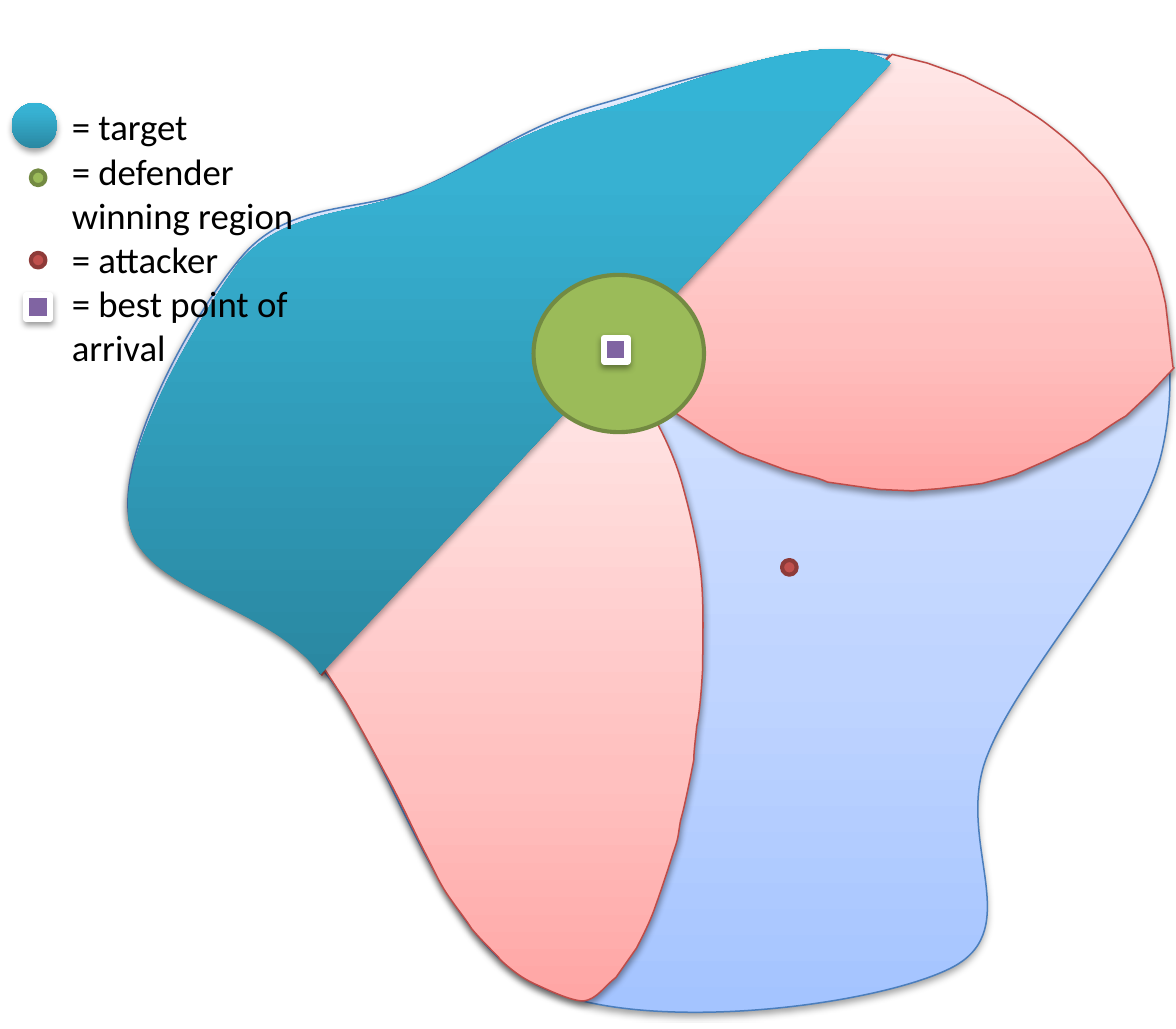
from lxml.etree import SubElement
from pptx import Presentation
from pptx.dml.color import RGBColor
from pptx.enum.shapes import MSO_CONNECTOR as CONNECTOR, MSO_SHAPE as SHAPE
from pptx.enum.text import MSO_AUTO_SIZE as AUTO_SIZE
from pptx.oxml.ns import qn
from pptx.util import Inches, Pt

BLUE_STOPS = [(0, "A4C4FF"), (35, "BFD4FF"), (100, "E6EEFF")]
PINK_STOPS = [(0, "FFA6A5"), (35, "FFC0BF"), (100, "FFE7E7")]
TEAL_STOPS = [(0, "2A88A2"), (80, "37B1D2"), (100, "34B4D6")]

# Boxes are left, top, width, height in inches.
WHOLE_BOX = (0.87, 0.35, 7.09, 6.54)
RIGHT_BOX = (4.18, 0.37, 3.81, 2.96)
LOWER_BOX = (2.2, 2.44, 2.58, 4.37)
TARGET_BOX = (0.87, 0.33, 5.19, 4.26)

# Outlines in inches: a pair is a corner, six numbers are a cubic curve.
WHOLE_REGION = [
    (4.08, 0.71), (4.61, 0.56, 5.47, 0.27, 6.06, 0.38),
    (6.64, 0.48, 7.29, 0.9, 7.6, 1.36), (7.9, 1.81, 8.05, 2.46, 7.9, 3.09),
    (7.75, 3.72, 6.95, 4.55, 6.72, 5.13), (6.48, 5.71, 6.99, 6.31, 6.48, 6.58),
    (5.98, 6.84, 4.38, 7.05, 3.67, 6.71), (2.95, 6.37, 2.65, 5.07, 2.18, 4.54),
    (1.72, 4.01, 0.97, 4.01, 0.88, 3.54), (0.79, 3.07, 1.32, 2.12, 1.65, 1.74),
    (1.98, 1.36, 2.45, 1.45, 2.86, 1.28), (3.26, 1.11, 3.55, 0.86, 4.08, 0.71),
]
RIGHT_REGION = [
    (7.99, 2.5), (7.83, 2.67), (7.66, 2.83), (7.57, 2.88, 7.48, 2.95, 7.4, 3),
    (7.31, 3.04, 7.23, 3.08, 7.15, 3.12), (6.9, 3.23), (6.68, 3.29), (6.43, 3.32),
    (6.35, 3.33, 6.29, 3.33, 6.21, 3.34), (5.98, 3.33), (5.63, 3.28),
    (5.52, 3.23, 5.42, 3.23, 5.3, 3.18), (5.03, 3.08), (4.84, 2.97), (4.61, 2.82),
    (4.37, 2.62), (4.18, 2.45), (4.46, 2.08, 5.71, 0.71, 6.07, 0.37), (6.31, 0.43),
    (6.56, 0.52), (6.86, 0.67), (6.95, 0.73, 7.04, 0.78, 7.13, 0.85),
    (7.22, 0.92, 7.33, 1.01, 7.4, 1.09), (7.47, 1.16, 7.49, 1.17, 7.56, 1.27),
    (7.64, 1.4, 7.74, 1.55, 7.81, 1.68), (7.87, 1.81, 7.9, 1.93, 7.93, 2.07), (7.98, 2.5),
]
LOWER_REGION = [
    (4.15, 2.44), (4.32, 2.63), (4.36, 2.7, 4.4, 2.73, 4.45, 2.84),
    (4.51, 2.95, 4.59, 3.11, 4.64, 3.29), (4.69, 3.47, 4.75, 3.71, 4.77, 3.92),
    (4.79, 4.13, 4.78, 4.38, 4.78, 4.55), (4.77, 4.72, 4.76, 4.84, 4.74, 4.94),
    (4.73, 5.04, 4.72, 5.11, 4.72, 5.17), (4.71, 5.22, 4.66, 5.48, 4.63, 5.58),
    (4.61, 5.69, 4.62, 5.69, 4.58, 5.8), (4.55, 5.9, 4.49, 6.08, 4.45, 6.19),
    (4.41, 6.3, 4.35, 6.41, 4.33, 6.45), (4.19, 6.65),
    (4.12, 6.7, 4.06, 6.8, 3.97, 6.81), (3.88, 6.81, 3.72, 6.73, 3.63, 6.69),
    (3.55, 6.65, 3.51, 6.62, 3.45, 6.57), (3.45, 6.57, 3.39, 6.52, 3.39, 6.51),
    (3.33, 6.45, 3.27, 6.39, 3.21, 6.32), (3.16, 6.24, 3.1, 6.17, 3.04, 6.08),
    (2.98, 5.99, 2.95, 5.91, 2.88, 5.78), (2.81, 5.64, 2.71, 5.42, 2.62, 5.26),
    (2.53, 5.09, 2.42, 4.89, 2.35, 4.77), (2.2, 4.54),
    (2.51, 4.15, 3.5, 3.14, 4.15, 2.44),
]
TARGET_REGION = [
    (4.08, 0.75), (4.64, 0.6, 5.62, 0.14, 6.06, 0.43), (2.18, 4.59),
    (1.85, 4.12, 0.97, 4.03, 0.88, 3.56), (0.79, 3.09, 1.34, 2.18, 1.63, 1.78),
    (1.96, 1.41, 2.43, 1.47, 2.84, 1.29), (3.25, 1.12, 3.52, 0.89, 4.08, 0.75),
]


def color(value):
    return RGBColor.from_string(value)


def add_shadow(element, opacity=38, distance=1.6):
    """Append a downward shadow to an element's empty effect list."""
    shadow = SubElement(element.spPr.find(qn("a:effectLst")), qn("a:outerShdw"),
                        blurRad=str(Pt(3.1)), dist=str(Pt(distance)),
                        dir="5400000", rotWithShape="0")
    black = SubElement(shadow, qn("a:srgbClr"), val="000000")
    SubElement(black, qn("a:alpha"), val=str(opacity * 1000))


def set_style(shape, fill, line=None, width=2):
    """Fill with one colour or with gradient stops running upwards."""
    shape.shadow.inherit = False
    if isinstance(fill, str):
        shape.fill.solid()
        shape.fill.fore_color.rgb = color(fill)
    else:
        shape.fill.gradient()
        shape.fill.gradient_angle = 90
        stop_list = shape.element.spPr.find(".//" + qn("a:gsLst"))
        stop_list.clear()
        for position, value in fill:
            stop = SubElement(stop_list, qn("a:gs"), pos=str(position * 1000))
            SubElement(stop, qn("a:srgbClr"), val=value)
    if line:
        shape.line.color.rgb = color(line)
        shape.line.width = Pt(width)
    else:
        shape.line.fill.background()


def add_preset(slide, preset, left, top, width, height, fill, line=None, line_width=2):
    shape = slide.shapes.add_shape(preset, Inches(left), Inches(top),
                                   Inches(width), Inches(height))
    set_style(shape, fill, line, line_width)
    return shape


def add_defender(slide, left, top, width=0.1, height=0.1):
    add_preset(slide, SHAPE.OVAL, left, top, width, height, "9BBB59", "738A42")


def add_attacker(slide, left, top):
    add_preset(slide, SHAPE.OVAL, left, top, 0.1, 0.1, "C0504D", "8E3B39")


def add_arrival_point(slide, left, top):
    square = add_preset(slide, SHAPE.RECTANGLE, left, top, 0.16, 0.16, "8064A2", "FFFFFF", 3)
    add_shadow(square.element)


def draw_outline(region, box, outline):
    """Replace the segments of a freeform with corners and cubic curves."""
    segments = region.element.spPr.find(".//" + qn("a:path"))
    for segment in list(segments):
        segments.remove(segment)
    for index, step in enumerate(outline):
        corner = "a:lnTo" if index else "a:moveTo"
        segment = SubElement(segments, qn("a:cubicBezTo" if len(step) == 6 else corner))
        for x, y in zip(step[::2], step[1::2]):
            SubElement(segment, qn("a:pt"), x=str(Inches(x - box[0])), y=str(Inches(y - box[1])))
    if outline[0] == outline[-1][-2:]:
        SubElement(segments, qn("a:close"))


def add_region(slide, left, top, box, outline, stops, line=None, opacity=38, distance=1.6):
    x, y, width, height = box
    builder = slide.shapes.build_freeform(Inches(left + x), Inches(top + y))
    builder.add_line_segments([(Inches(left + x + width), Inches(top + y + height))])
    region = builder.convert_to_shape()
    draw_outline(region, box, outline)
    set_style(region, stops, line, 0.75)
    add_shadow(region.element, opacity, distance)


def add_border(slide, left, top, start, end):
    ends = [Inches(origin + value) for point in (start, end)
            for origin, value in zip((left, top), point)]
    border = slide.shapes.add_connector(CONNECTOR.STRAIGHT, *ends)
    border.line.color.rgb = color("C0504D")
    border.line.width = Pt(2)
    SubElement(border.element.spPr, qn("a:effectLst"))
    add_shadow(border.element)


def add_map(slide, left, top):
    add_region(slide, left, top, WHOLE_BOX, WHOLE_REGION, BLUE_STOPS, "4B7EBC")
    add_border(slide, left, top, (6.06, 0.38), (4.1, 2.51))
    add_border(slide, left, top, (4.1, 2.54), (2.18, 4.59))
    for box, outline in ((RIGHT_BOX, RIGHT_REGION), (LOWER_BOX, LOWER_REGION)):
        add_region(slide, left, top, box, outline, PINK_STOPS, "BF4C48")
    add_attacker(slide, left + 5.32, top + 3.81)
    add_region(slide, left, top, TARGET_BOX, TARGET_REGION, TEAL_STOPS, opacity=35, distance=1.8)
    add_defender(slide, left + 3.63, top + 1.87, 1.16, 1.07)
    add_arrival_point(slide, left + 4.11, top + 2.3)


def add_legend(slide, left, top):
    target = add_preset(slide, SHAPE.OVAL, left, top + 0.04, 0.31, 0.31, TEAL_STOPS)
    add_shadow(target.element, 35, 1.8)
    add_defender(slide, left + 0.13, top + 0.5)
    add_attacker(slide, left + 0.13, top + 1.06)
    add_arrival_point(slide, left + 0.1, top + 1.35)
    box = slide.shapes.add_textbox(Inches(left + 0.31), Inches(top), Inches(1.75), Inches(1.92))
    frame = box.text_frame
    frame.word_wrap = True
    frame.auto_size = AUTO_SIZE.SHAPE_TO_FIT_TEXT
    labels = ["= target", "= defender winning region", "= attacker", "= best point of arrival"]
    for index, label in enumerate(labels):
        paragraph = frame.add_paragraph() if index else frame.paragraphs[0]
        run = paragraph.add_run()
        run.text = label
        run.font.name = "Calibri"
        run.font.size = Pt(18)
        run.font.color.rgb = color("000000")


def main():
    presentation = Presentation()
    presentation.slide_width = Inches(8)
    presentation.slide_height = Inches(7)
    slide = presentation.slides.add_slide(presentation.slide_layouts[6])
    add_map(slide, 0, 0)
    add_legend(slide, 0.08, 0.66)
    presentation.save("out.pptx")


if __name__ == "__main__":
    main()
